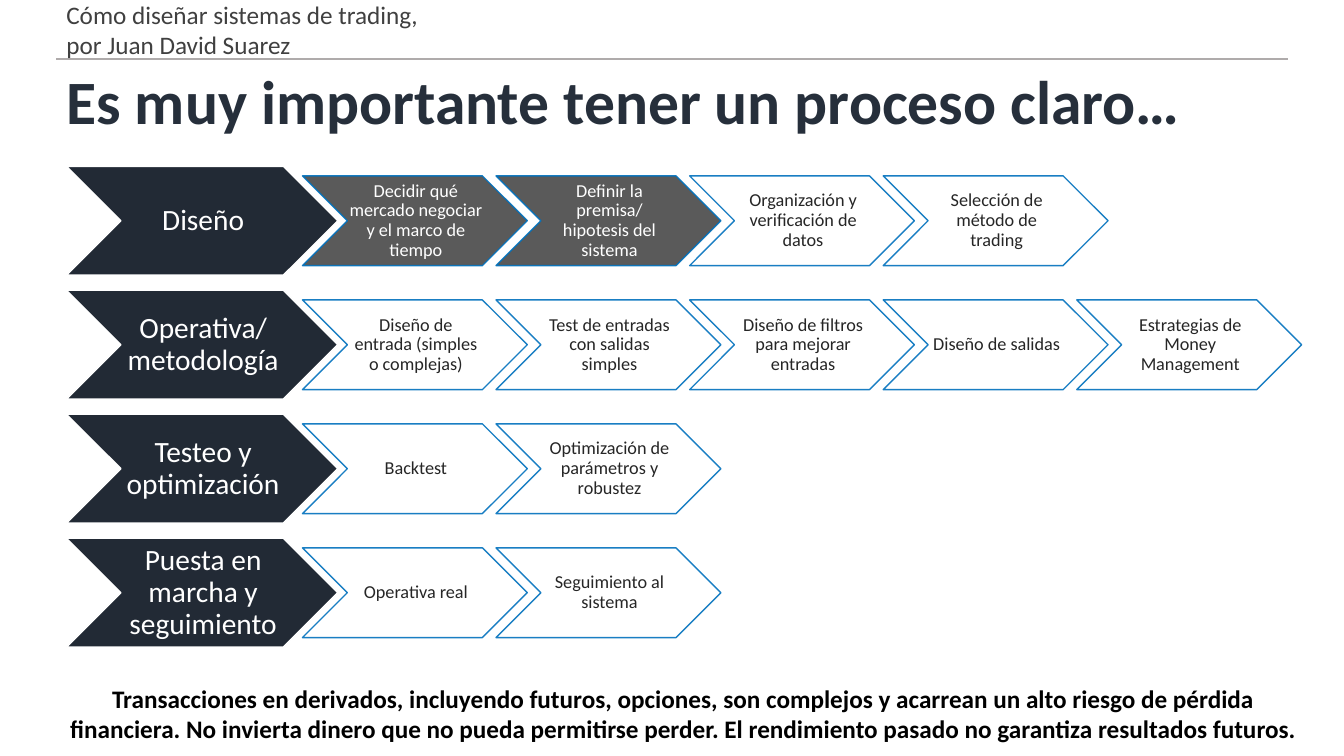
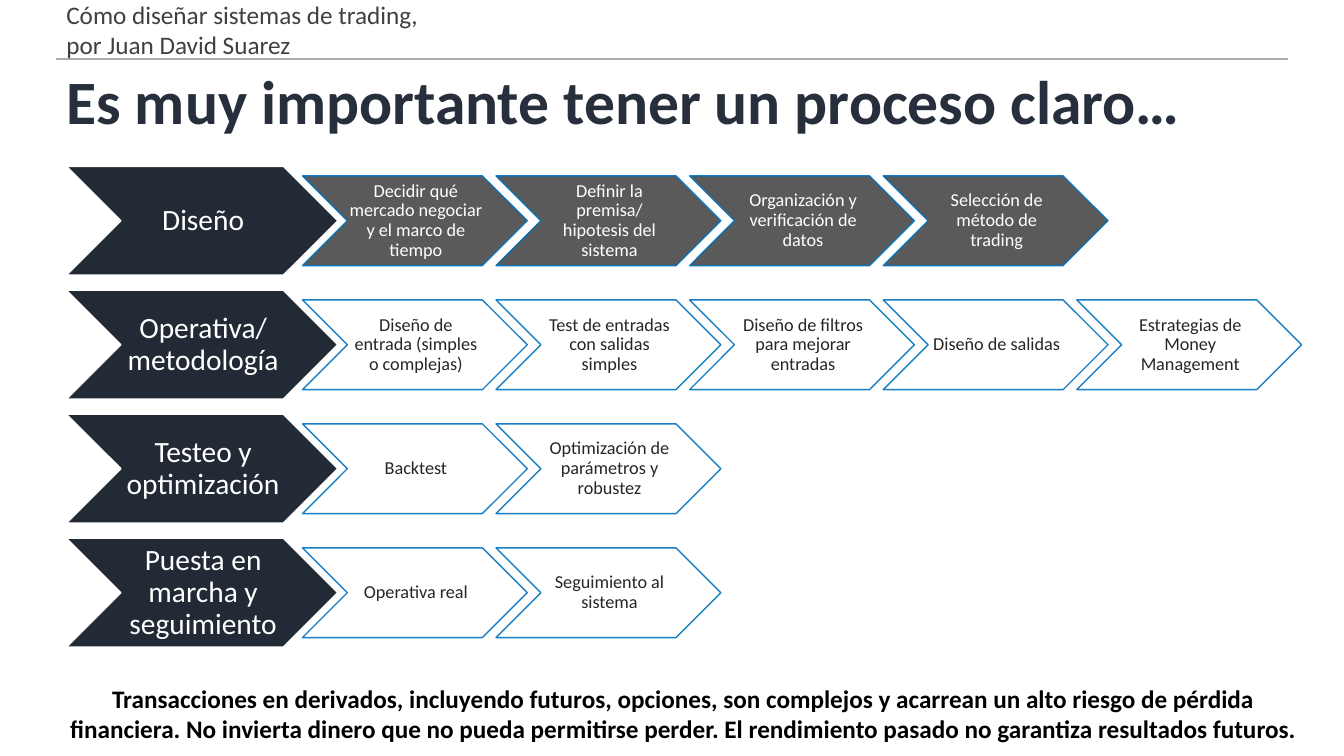
from lxml.etree import SubElement
from pptx import Presentation
from pptx.dml.color import RGBColor
from pptx.enum.shapes import MSO_CONNECTOR, MSO_SHAPE
from pptx.enum.text import MSO_ANCHOR, PP_ALIGN
from pptx.oxml.ns import qn
from pptx.util import Inches, Pt

FONT = "Calibri"
NAVY, TITLE_NAVY, GRAY, BLUE = "222A35", "262F3B", "5A5A5A", "0071BD"
WHITE, BLACK, DARK, HEADER_GRAY, RULE_GRAY = "FFFFFF", "000000", "262626", "404040", "AFABAB"

SLIDE_WIDTH, SLIDE_HEIGHT = 13.33, 7.5
MARGIN = 0.56
PHASE_LEFT, PHASE_TOP = 0.66, 1.65
PHASE_WIDTH, PHASE_HEIGHT = 2.69, 1.08
STEP_LEFT = 3
STEP_WIDTH, STEP_HEIGHT = 2.23, 0.89
ROW_PITCH, COLUMN_PITCH = 1.23, 1.92
STEP_OFFSET = (PHASE_HEIGHT - STEP_HEIGHT) / 2

TITLE = "Es muy importante tener un proceso claro…"
HEADER = "Cómo diseñar sistemas de trading, por Juan David Suarez"
DISCLAIMER = (
    "Transacciones en derivados, incluyendo futuros, opciones, son complejos y acarrean "
    "un alto riesgo de pérdida financiera. No invierta dinero que no pueda permitirse perder. "
    "El rendimiento pasado no garantiza resultados futuros."
)
PHASES = [
    ("Diseño", [
        "Decidir qué mercado negociar y el marco de tiempo",
        "Definir la premisa/ hipotesis del sistema",
        "Organización y verificación de datos",
        "Selección de método de trading",
    ]),
    ("Operativa/ metodología", [
        "Diseño de entrada (simples o complejas)",
        "Test de entradas con salidas simples",
        "Diseño de filtros para mejorar entradas",
        "Diseño de salidas",
        "Estrategias de Money Management",
    ]),
    ("Testeo y optimización", ["Backtest", "Optimización de parámetros y robustez"]),
    ("Puesta en marcha y seguimiento", ["Operativa real", "Seguimiento al sistema"]),
]
COMPLETED_DESIGN_STEPS = [2, 4]


def color(value):
    return RGBColor.from_string(value)


def write_text(shape, text, size, text_color, bold=False, alignment=PP_ALIGN.LEFT, spacing=1.0):
    frame = shape.text_frame
    frame.word_wrap = True
    frame.vertical_anchor = MSO_ANCHOR.MIDDLE
    paragraph = frame.paragraphs[0]
    paragraph.alignment = alignment
    paragraph.line_spacing = spacing
    run = paragraph.add_run()
    run.text = text
    run.font.name = FONT
    run.font.size = Pt(size)
    run.font.bold = bold
    run.font.color.rgb = color(text_color)


def add_label(slide, top, width, height, text, text_color, **style):
    box = slide.shapes.add_textbox(Inches(MARGIN), Inches(top), Inches(width), Inches(height))
    write_text(box, text, 18, text_color, **style)


def add_rule(slide, top):
    rule = slide.shapes.add_connector(
        MSO_CONNECTOR.STRAIGHT,
        Inches(MARGIN), Inches(top), Inches(SLIDE_WIDTH - MARGIN), Inches(top),
    )
    rule.line.color.rgb = color(RULE_GRAY)
    rule.line.width = Pt(1.5)
    SubElement(rule._element.spPr, qn("a:effectLst"))


def add_title(slide):
    title = slide.shapes.title
    title.left, title.top = Inches(MARGIN), Inches(0.64)
    title.width, title.height = Inches(12.2), Inches(0.79)
    write_text(title, TITLE, 44, TITLE_NAVY, bold=True, spacing=0.9)


def add_chevron(slide, left, top, width, height, text, size, text_color, fill, outline):
    chevron = slide.shapes.add_shape(
        MSO_SHAPE.CHEVRON, Inches(left), Inches(top), Inches(width), Inches(height)
    )
    chevron.shadow.inherit = False
    if fill:
        chevron.fill.solid()
        chevron.fill.fore_color.rgb = color(fill)
    else:
        chevron.fill.background()
    chevron.line.color.rgb = color(outline)
    chevron.line.width = Pt(1)
    frame = chevron.text_frame
    frame.margin_left, frame.margin_right = Inches(0.02), 0
    frame.margin_top = frame.margin_bottom = Inches(0.01)
    write_text(chevron, text, size, text_color, alignment=PP_ALIGN.CENTER, spacing=0.9)
    return chevron


def add_phase(slide, row, name):
    add_chevron(
        slide, PHASE_LEFT, PHASE_TOP + row * ROW_PITCH, PHASE_WIDTH, PHASE_HEIGHT,
        name, 21, WHITE, NAVY, WHITE,
    )


def add_step(slide, row, column, text, completed):
    chevron = add_chevron(
        slide,
        STEP_LEFT + column * COLUMN_PITCH, PHASE_TOP + row * ROW_PITCH + STEP_OFFSET,
        STEP_WIDTH, STEP_HEIGHT, text, 13,
        WHITE if completed else DARK, GRAY if completed else None, BLUE,
    )
    line_color = chevron.line._ln.find(".//" + qn("a:srgbClr"))
    SubElement(line_color, qn("a:alpha")).set("val", "90000")


def add_process(slide, completed_steps):
    for row, (name, steps) in enumerate(PHASES):
        add_phase(slide, row, name)
        for column, text in enumerate(steps):
            add_step(slide, row, column, text, row == 0 and column < completed_steps)


def add_process_slide(presentation, completed_steps):
    slide = presentation.slides.add_slide(presentation.slide_layouts[5])
    add_rule(slide, 0.59)
    add_label(slide, 0.12, 3.93, 0.34, HEADER, HEADER_GRAY)
    add_label(slide, 6.76, 12.44, 0.63, DISCLAIMER, BLACK, bold=True, alignment=PP_ALIGN.CENTER)
    add_title(slide)
    add_process(slide, completed_steps)


def main():
    presentation = Presentation()
    presentation.slide_width = Inches(SLIDE_WIDTH)
    presentation.slide_height = Inches(SLIDE_HEIGHT)
    for completed_steps in COMPLETED_DESIGN_STEPS:
        add_process_slide(presentation, completed_steps)
    presentation.save("out.pptx")


if __name__ == "__main__":
    main()
